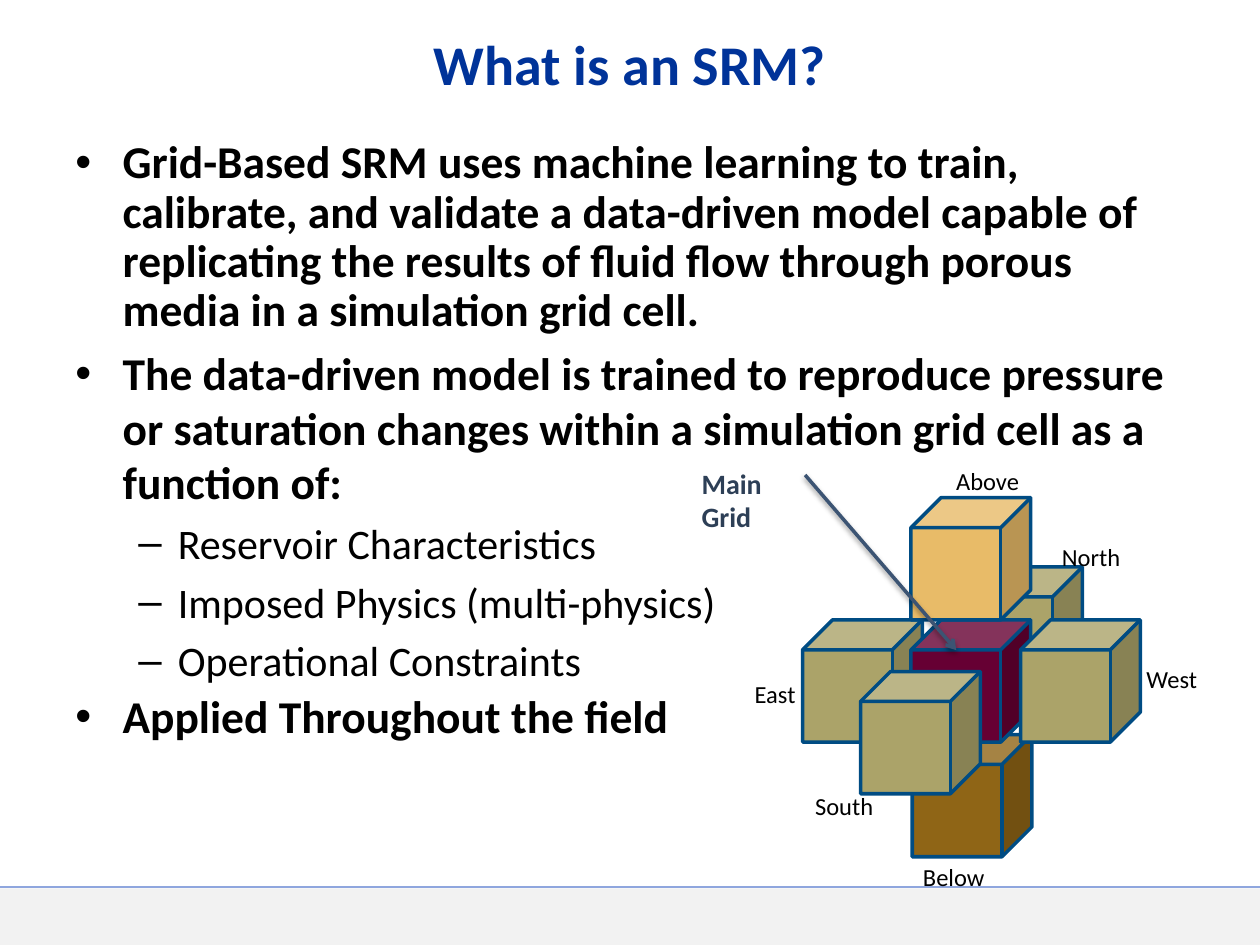
from lxml.etree import SubElement
from pptx import Presentation
from pptx.dml.color import RGBColor as RGB
from pptx.enum.shapes import MSO_CONNECTOR as CONN, MSO_SHAPE as SHAPE
from pptx.enum.text import MSO_ANCHOR as ANCHOR, PP_ALIGN as ALIGN
from pptx.oxml import parse_xml
from pptx.oxml.ns import nsdecls, qn
from pptx.util import Inches, Pt

COLORS = dict(title="003399", text="000000", footer="F2F2F2", rule="8FA6DE",
              edge="004C83", side="ABA369", main="660033", above="E8BB68",
              below="8F6516", arrow="3C5473", callout="2D3F56")

prs = Presentation()
prs.slide_width, prs.slide_height = Inches(10), Inches(7.5)
COL, ROW = prs.slide_width / 100, prs.slide_height / 75
s = prs.slides.add_slide(prs.slide_layouts[6])


def on_grid(*cells):
    """Turn alternating column and row counts into lengths."""
    return [round(n * (ROW if i % 2 else COL)) for i, n in enumerate(cells)]


def add_text(shapes, text, at, size, color="text", bold=False, align=ALIGN.LEFT):
    tf = shapes.add_textbox(*on_grid(*at)).text_frame
    tf.word_wrap = True
    p = tf.paragraphs[0]
    p.alignment = align
    r = p.add_run()
    r.text = text
    for name, value in dict(name="Calibri", size=Pt(size), bold=bold).items():
        setattr(r.font, name, value)
    r.font.color.rgb = RGB.from_string(COLORS[color])
    return tf


# Footer band and rule
footer = s.shapes.add_shape(SHAPE.RECTANGLE, *on_grid(0, 70.5, 100, 4.5))
footer.shadow.inherit = False
footer.fill.solid()
footer.fill.fore_color.rgb = RGB.from_string(COLORS["footer"])
footer.line.fill.background()

rule = s.shapes.add_connector(CONN.STRAIGHT, *on_grid(0, 70.4, 100, 70.4))
rule.line.color.rgb = RGB.from_string(COLORS["rule"])
rule.line.width = Pt(1.5)
SubElement(rule._element.spPr, qn("a:effectLst"))

# Title
tf = add_text(s.shapes, "What is an SRM?", (5, 1.8, 90, 6.4), 32, "title", True, ALIGN.CENTER)
tf.vertical_anchor = ANCHOR.MIDDLE

# Grid cell and its neighbours, from back to front
diagram = s.shapes.add_group_shape().shapes
cubes = [(72.4, 58.3, "below"), (63.7, 49.2, "side"), (76.4, 45, "side"),
         (72.3, 49.2, "main"), (68.3, 53.3, "side"), (72.3, 39.5, "above"),
         (81, 49.2, "side")]
for col, row, color in cubes:
    cube = diagram.add_shape(SHAPE.CUBE, *on_grid(col, row, 9.5, 9.7))
    cube.shadow.inherit = False
    cube.fill.solid()
    cube.fill.fore_color.rgb = RGB.from_string(COLORS[color])
    cube.line.color.rgb = RGB.from_string(COLORS["edge"])
    cube.line.width = Pt(2)

labels = [("Above", 74.9, 36.5, 8.3), ("East", 58.9, 53.4, 5.9),
          ("West", 90, 52.2, 6.2), ("North", 83.3, 42.5, 8.6),
          ("South", 63.7, 62.3, 7.5)]
for text, col, row, width in labels:
    add_text(diagram, text, (col, row, width, 3.4), 14)
add_text(diagram, "Below", (70.4, 67.9, 10.6, 3.4), 14, align=ALIGN.CENTER)
add_text(diagram, "Main Grid", (54.7, 36.5, 9.2, 6.4), 16, "callout", True)

arrow = diagram.add_connector(CONN.STRAIGHT, *on_grid(63.9, 37.7, 75.9, 51.6))
arrow.line.color.rgb = RGB.from_string(COLORS["arrow"])
arrow.line.width = Pt(2)
SubElement(arrow.line._get_or_add_ln(), qn("a:tailEnd"), type="arrow")
arrow._element.spPr.append(parse_xml(
    f'<a:effectLst {nsdecls("a")}><a:outerShdw blurRad="{Pt(3.1)}" dist="{Pt(1.6)}" '
    'dir="5400000" rotWithShape="0"><a:srgbClr val="000000"><a:alpha val="38000"/>'
    '</a:srgbClr></a:outerShdw></a:effectLst>'))

# Bullets: text, level, line spacing
bullets = [
    ("Grid-Based SRM uses machine learning to train, calibrate, and validate a "
     "data-driven model capable of replicating the results of fluid flow through "
     "porous media in a simulation grid cell.", 0, 0.9),
    ("The data-driven model is trained to reproduce pressure or saturation changes "
     "within a simulation grid cell as a function of:", 0, 1.0),
    ("Reservoir Characteristics", 1, 1.0),
    ("Imposed Physics (multi-physics)", 1, 1.0),
    ("Operational Constraints", 1, 1.0),
    ("Applied Throughout the field", 0, 0.9),
]
LEVELS = [dict(char="•", margin=3.75, hang=3.75, size=26, bold=True),
          dict(char="–", margin=8.13, hang=3.13, size=24, bold=False)]
tf = s.shapes.add_textbox(*on_grid(5, 10.6, 90, 50)).text_frame
tf.word_wrap = True
for i, (text, level, spacing) in enumerate(bullets):
    fmt = LEVELS[level]
    p = tf.add_paragraph() if i else tf.paragraphs[0]
    p.level = level
    p.line_spacing = spacing
    p.space_before = Pt(fmt["size"] * 0.2 if i else 0)
    pPr = p._p.get_or_add_pPr()
    pPr.set("marL", str(round(fmt["margin"] * COL)))
    pPr.set("indent", str(-round(fmt["hang"] * COL)))
    SubElement(pPr, qn("a:buFont"), typeface="Arial")
    SubElement(pPr, qn("a:buChar"), char=fmt["char"])
    r = p.add_run()
    r.text = text
    for name, value in dict(name="Calibri", size=Pt(fmt["size"]), bold=fmt["bold"]).items():
        setattr(r.font, name, value)
    r.font.color.rgb = RGB.from_string(COLORS["text"])

prs.save("out.pptx")
